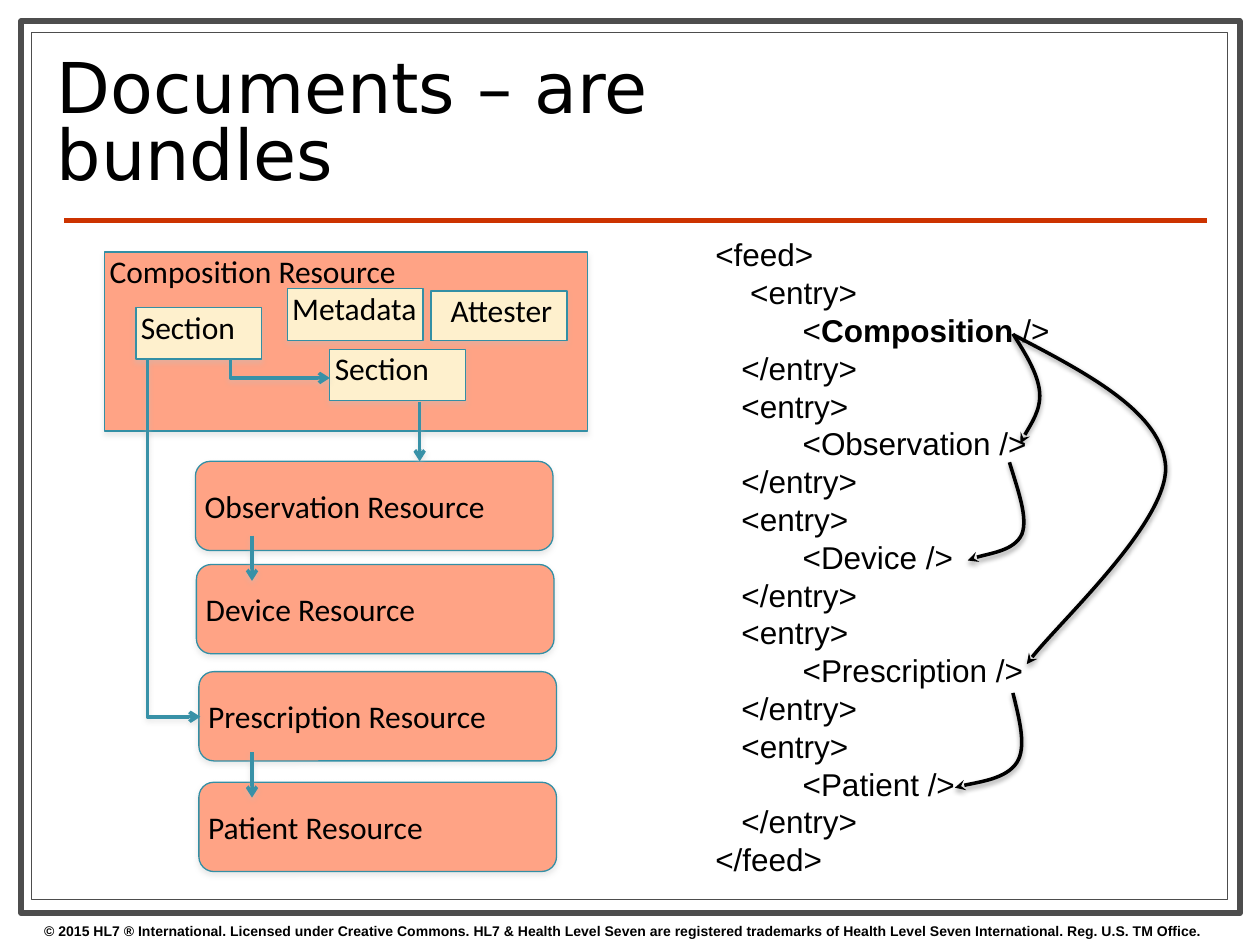
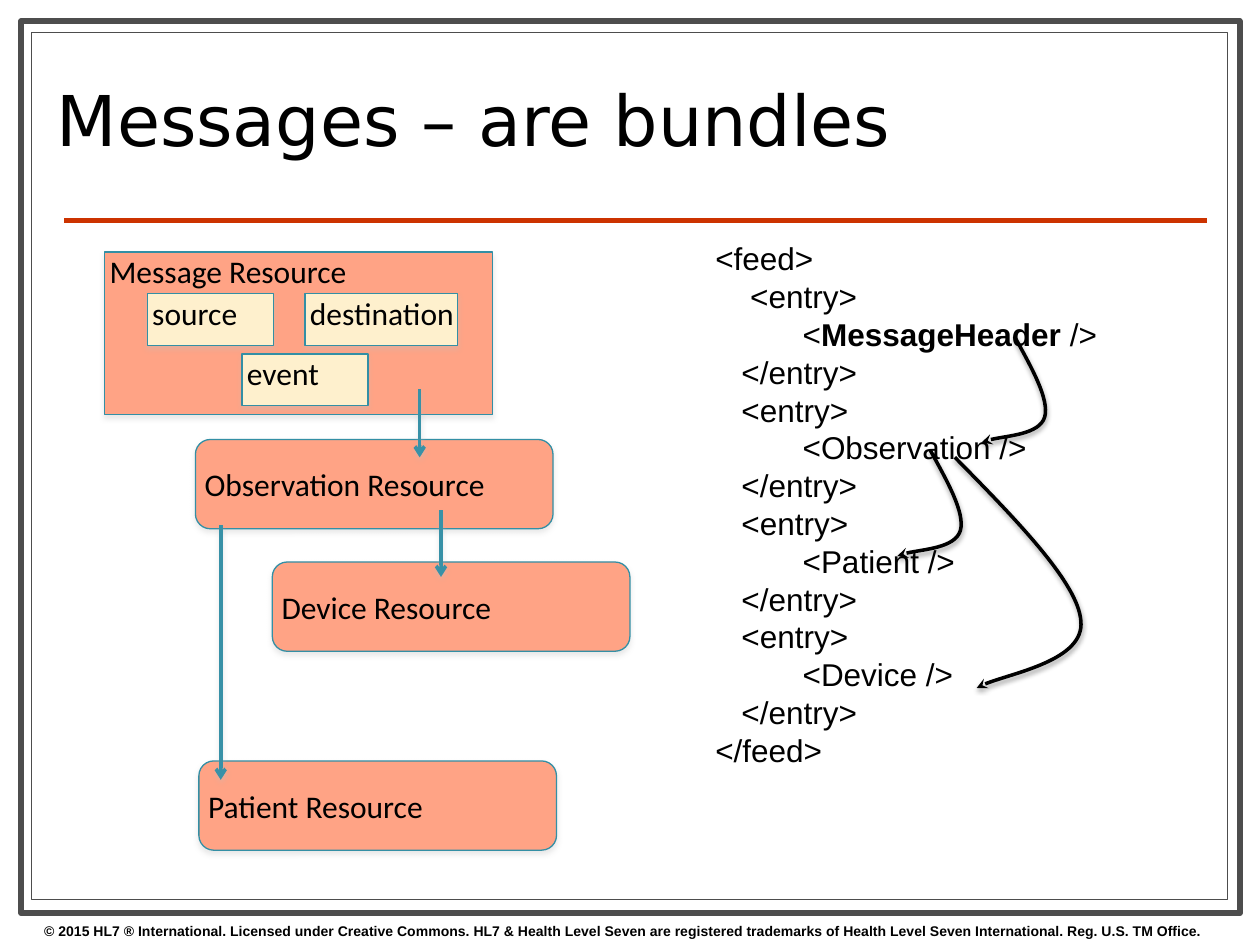
from dataclasses import dataclass
from lxml.etree import SubElement
from pptx import Presentation
from pptx.dml.color import RGBColor
from pptx.enum.shapes import MSO_CONNECTOR, MSO_SHAPE
from pptx.enum.text import MSO_ANCHOR, MSO_AUTO_SIZE, PP_ALIGN
from pptx.oxml.ns import qn
from pptx.util import Cm, Pt


@dataclass(frozen=True)
class Theme:
    white: str = "FFFFFF"
    ink: str = "000000"
    frame: str = "4D4D4D"
    rule: str = "CC3300"
    card: str = "FFA385"
    field: str = "FEF0CD"
    edge: str = "338FA5"
    link: str = "3891A7"
    shade: str = "C0C0C0"
    head: str = "DejaVu Sans"
    body: str = "Calibri"
    code: str = "Arial"
    big: int = 40
    mid: int = 18
    small: int = 8


T = Theme()
LEFT, MID = PP_ALIGN.LEFT, PP_ALIGN.CENTER
FOOT = ("© 2015 HL7 ® International. Licensed under Creative Commons. "
        "HL7 & Health Level Seven are registered trademarks of "
        "Health Level Seven International. Reg. U.S. TM Office.")
FRAMES = [((0.43, 0.43, 24.56, 17.98), 3.5), ((0.64, 0.66, 24.1, 17.48), 0.75)]
CARD = (7.21, 1.8)
HOOK = [(20.45, 6.78), (20.8, 7.42), (21.16, 8.05), (21.06, 8.41),
        (20.95, 8.76), (19.99, 8.81), (19.79, 8.92)]

PAGES = [
    dict(
        title="Documents – are bundles",
        main=("Composition Resource", (2.11, 5.08, 9.73, 3.61)),
        fields=[
            ("Section", (2.74, 6.2, 2.54, 1.04), LEFT),
            ("Section", (6.65, 7.04, 2.74, 1.04), LEFT),
            ("Attester", (8.69, 5.87, 2.74, 0.99), MID),
            ("Metadata", (5.79, 5.82, 2.74, 1.04), LEFT),
        ],
        cards=[
            ("Observation Resource", (3.94, 9.3)),
            ("Device Resource", (3.96, 11.38)),
            ("Prescription Resource", (4.01, 13.54)),
            ("Patient Resource", (4.01, 15.77)),
        ],
        links=[
            [(4.65, 7.24), (4.65, 7.62), (6.65, 7.62)],
            [(2.97, 7.24), (2.97, 14.45), (4.04, 14.45)],
            [(8.46, 8.1), (8.46, 9.3)],
            [(5.08, 10.8), (5.08, 11.71)],
            [(5.08, 15.16), (5.08, 16.08)],
        ],
        code=(14.17, 4.62, 7.32, 13.34),
        tags=["Composition", "Observation", "Device", "Prescription", "Patient"],
        curves=[
            [(20.42, 6.73), (20.68, 7.14), (20.93, 7.54), (20.96, 7.92),
             (20.98, 8.28), (20.65, 8.76), (20.57, 8.94)],
            [(20.45, 6.76), (21.95, 7.54), (23.44, 8.33), (23.5, 9.42),
             (23.52, 10.54), (21.13, 12.75), (20.7, 13.39)],
            [(20.42, 13.97), (20.55, 14.5), (20.7, 15.06), (20.5, 15.37),
             (20.29, 15.7), (19.41, 15.82), (19.25, 15.88)],
            [(20.35, 9.32), (20.52, 9.88), (20.73, 10.44), (20.6, 10.77),
             (20.45, 11.1), (19.69, 11.2), (19.51, 11.3)],
        ],
    ),
    dict(
        title="Messages – are bundles",
        main=("Message Resource", (2.11, 5.08, 7.82, 3.28)),
        fields=[
            ("source", (2.97, 5.92, 2.54, 1.04), LEFT),
            ("destination", (6.15, 5.92, 3.07, 1.04), LEFT),
            ("event", (4.88, 7.14, 2.54, 1.04), LEFT),
        ],
        cards=[
            ("Observation Resource", (3.94, 8.86)),
            ("Device Resource", (5.49, 11.33)),
            ("Patient Resource", (4.01, 15.34)),
        ],
        links=[
            [(8.46, 7.85), (8.46, 9.22)],
            [(8.89, 10.29), (8.89, 11.63)],
            [(4.45, 10.59), (4.45, 15.72)],
        ],
        code=(14.17, 4.7, 8.28, 11.02),
        tags=["MessageHeader", "Observation", "Patient", "Device"],
        curves=[
            HOOK,
            [(x - 1.7, y + 2.29) for x, y in HOOK],
            [(19.25, 9.22), (20.5, 10.49), (21.74, 11.76), (21.79, 12.52),
             (21.87, 13.31), (20.04, 13.64), (19.69, 13.87)],
        ],
    ),
]


def cms(vals):
    return [Cm(v) for v in vals]


def rgb(hue):
    return RGBColor.from_string(hue)


def write(para, text, face, size, bold=False):
    run = para.add_run()
    run.text = text
    font = run.font
    font.name, font.size, font.bold = face, Pt(size), bold
    font.color.rgb = rgb(T.ink)


def stroke(item, hue, width):
    item.line.color.rgb = rgb(hue)
    item.line.width = Pt(width)


def shade(item, hue=None, alpha=38, blur=3, dist=1.6):
    fx = SubElement(item.element.spPr, qn("a:effectLst"))
    if hue:
        cast = SubElement(fx, qn("a:outerShdw"), blurRad=str(Pt(blur)),
                          dist=str(Pt(dist)), dir="5400000", rotWithShape="0")
        tint = SubElement(cast, qn("a:srgbClr"), val=hue)
        SubElement(tint, qn("a:alpha"), val=str(alpha * 1000))


def block(slide, kind, at, fill, text, align=LEFT, anchor=MSO_ANCHOR.TOP):
    box = slide.shapes.add_shape(kind, *cms(at))
    box.fill.solid()
    box.fill.fore_color.rgb = rgb(fill)
    stroke(box, T.edge, 0.75)
    shade(box, T.shade, 35, 3, 1.8)
    frame = box.text_frame
    frame.word_wrap = True
    frame.vertical_anchor = anchor
    frame.margin_left = Cm(0.1)
    frame.margin_top = frame.margin_right = frame.margin_bottom = 0
    para = frame.paragraphs[0]
    para.alignment = align
    write(para, text, T.body, T.mid)


def bend(shape):
    track = shape.element.xpath(".//a:path")[0]
    steps = track.xpath("a:lnTo")
    for i in range(0, len(steps), 3):
        cubic = SubElement(track, qn("a:cubicBezTo"))
        for step in steps[i:i + 3]:
            cubic.append(step[0])
            track.remove(step)


def arrow(slide, points, hue, tip, cast, blur=3, curved=False):
    spots = [tuple(cms(p)) for p in points]
    if len(spots) == 2:
        item = slide.shapes.add_connector(MSO_CONNECTOR.STRAIGHT, *spots[0], *spots[1])
    else:
        pen = slide.shapes.build_freeform(*spots[0])
        pen.add_line_segments(spots[1:], close=False)
        item = pen.convert_to_shape()
        item.fill.background()
        if curved:
            bend(item)
    stroke(item, hue, 2)
    SubElement(item.element.spPr.find(qn("a:ln")), qn("a:tailEnd"), type=tip)
    shade(item, cast, blur=blur)


def listing(slide, at, tags):
    frame = slide.shapes.add_textbox(*cms(at)).text_frame
    frame.word_wrap = False
    rows = [[("<feed>", False)]]
    for i, tag in enumerate(tags):
        first = i == 0
        rows += [
            [("    <entry>" if first else "   <entry>", False)],
            [("          <", False), (tag, first), (" />", False)],
            [("   </entry>", False)],
        ]
    rows.append([("</feed>", False)])
    for i, row in enumerate(rows):
        para = frame.add_paragraph() if i else frame.paragraphs[0]
        for text, bold in row:
            write(para, text, T.code, T.mid, bold)


def dress(slide, layout):
    items = []
    for at, width in FRAMES:
        box = slide.shapes.add_shape(MSO_SHAPE.RECTANGLE, *cms(at))
        box.fill.solid()
        box.fill.fore_color.rgb = rgb(T.white)
        stroke(box, T.frame, width)
        shade(box)
        items.append(box)
    rule = slide.shapes.add_connector(
        MSO_CONNECTOR.STRAIGHT, *cms((1.3, 4.45, 24.33, 4.45)))
    stroke(rule, T.rule, 3)
    shade(rule)
    foot = slide.shapes.add_textbox(*cms((0.64, 18.47, 24.76, 0.58)))
    foot.text_frame.word_wrap = True
    write(foot.text_frame.paragraphs[0], FOOT, T.code, T.small, True)
    for i, item in enumerate(items + [rule, foot]):
        item.element.xpath(".//p:cNvPr")[0].set("id", str(100 + i))
        layout.shapes.element.append(item.element)


def head(slide, text):
    title = slide.shapes.title
    title.left, title.top, title.width, title.height = cms((0.89, 0.91, 18.21, 3.28))
    frame = title.text_frame
    frame.word_wrap = True
    frame.auto_size = MSO_AUTO_SIZE.NONE
    frame.vertical_anchor = MSO_ANCHOR.MIDDLE
    para = frame.paragraphs[0]
    para.alignment = LEFT
    para.line_spacing = 0.8
    write(para, text, T.head, T.big)


def build(slide, page):
    head(slide, page["title"])
    name, at = page["main"]
    block(slide, MSO_SHAPE.RECTANGLE, at, T.card, name)
    for name, at, align in page["fields"]:
        block(slide, MSO_SHAPE.RECTANGLE, at, T.field, name, align)
    for name, spot in page["cards"]:
        block(slide, MSO_SHAPE.ROUNDED_RECTANGLE, spot + CARD, T.card, name,
              anchor=MSO_ANCHOR.MIDDLE)
    for points in page["links"]:
        arrow(slide, points, T.link, "arrow", T.shade)
    listing(slide, page["code"], page["tags"])
    for points in page["curves"]:
        arrow(slide, points, T.ink, "stealth", T.ink, 3.1, curved=True)


def main():
    deck = Presentation()
    deck.slide_width, deck.slide_height = cms((25.4, 19.05))
    layout = deck.slide_layouts[5]
    for i, page in enumerate(PAGES):
        slide = deck.slides.add_slide(layout)
        if i == 0:
            dress(slide, layout)
        build(slide, page)
    deck.save("out.pptx")


if __name__ == "__main__":
    main()
